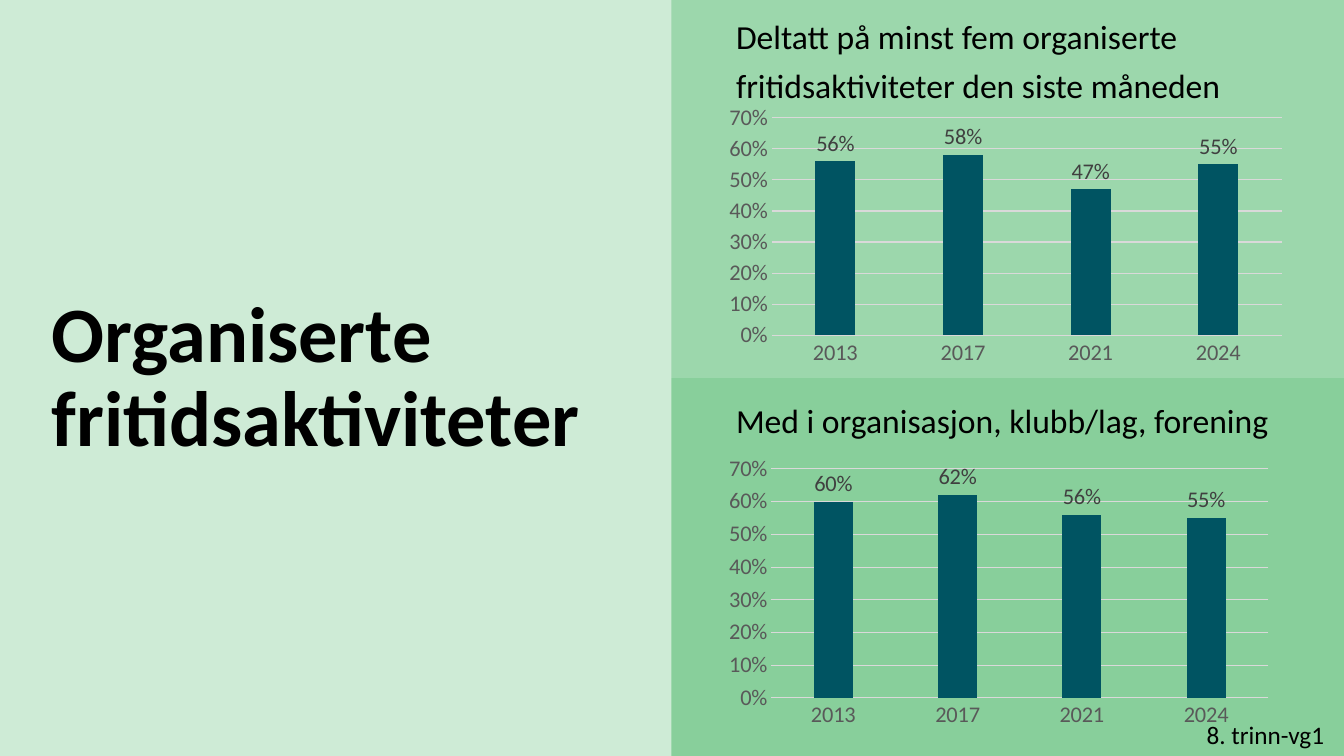
"""Build a slide with two column charts on organised leisure activities."""
from lxml.etree import SubElement
from pptx import Presentation
from pptx.chart.data import CategoryChartData as Data
from pptx.dml.color import RGBColor as RGB
from pptx.enum.chart import XL_CHART_TYPE as Kind, XL_LABEL_POSITION as Spot, XL_TICK_MARK as Tick
from pptx.enum.shapes import MSO_SHAPE as Form
from pptx.enum.text import MSO_ANCHOR as Anchor, MSO_AUTO_SIZE as Fit, PP_ALIGN as Align
from pptx.oxml.ns import qn
from pptx.util import Inches, Pt

FONT, FMT = "Calibri", "###0%"
HEX = {"back": "CEEBD6", "top": "9CD7AC", "low": "6BC483", "text": "000000",
       "bar": "005462", "axis": "595959", "label": "404040", "grid": "D9D9D9"}
YEARS = ["2013", "2017", "2021", "2024"]
TITLE = "Organiserte fritidsaktiviteter"
NOTE = "8. trinn-vg1"
PARTS = [
    {"head": "Deltatt på minst fem organiserte fritidsaktiviteter den siste måneden",
     "vals": [0.56, 0.58, 0.47, 0.55], "fill": "top", "alpha": 100, "slot": 1,
     "box": (7.3, 0, 5.4, 1.12), "plot": (7.12, 0.98, 5.71, 2.71)},
    {"head": "Med i organisasjon, klubb/lag, forening",
     "vals": [0.6, 0.62, 0.56, 0.55], "fill": "low", "alpha": 70, "slot": 3,
     "box": (7.3, 3.76, 5.4, 0.73), "plot": (7.12, 4.46, 5.57, 2.83)},
]


def tint(name):
    return RGB.from_string(HEX[name])


def style(font, size, color, bold=False):
    font.name, font.size, font.bold = FONT, Pt(size), bold
    font.color.rgb = tint(color)


def write(shape, text, box, size=24, bold=False, gap=None, inset=0.0, anchor=Anchor.MIDDLE):
    shape.left, shape.top, shape.width, shape.height = map(Inches, box)
    frame = shape.text_frame
    frame.word_wrap, frame.auto_size = True, Fit.NONE
    frame.vertical_anchor = anchor
    frame.margin_left = frame.margin_right = Inches(inset)
    frame.margin_top = frame.margin_bottom = Inches(inset / 2)
    para = frame.paragraphs[0]
    para.alignment, para.line_spacing = Align.LEFT, gap
    para.space_before = para.space_after = Pt(0)
    run = para.add_run()
    run.text = text
    style(run.font, size, "text", bold)


def panel(slide, row, part):
    half = prs.slide_height // 2
    rect = slide.shapes.add_shape(Form.RECTANGLE, Inches(6.66), row * half, Inches(6.67), half)
    rect.shadow.inherit = False
    rect.fill.solid()
    rect.fill.fore_color.rgb = tint(part["fill"])
    rect.line.fill.background()
    color = rect._element.spPr.find(".//" + qn("a:srgbClr"))
    SubElement(color, qn("a:alpha"), val=str(part["alpha"] * 1000))
    slide.shapes._spTree.insert(2 + row, rect._element)


def plot(slide, part):
    data = Data(number_format=FMT)
    data.categories = YEARS
    data.add_series("Series 1", part["vals"])
    chart = slide.shapes.add_chart(Kind.COLUMN_CLUSTERED, *map(Inches, part["plot"]), data).chart
    chart.has_title = chart.has_legend = False
    style(chart.font, 16, "text")
    years, share = chart.category_axis, chart.value_axis
    for axis in (years, share):
        axis.major_tick_mark = axis.minor_tick_mark = Tick.NONE
        style(axis.tick_labels.font, 16, "axis")
    share.minimum_scale, share.maximum_scale, share.major_unit = 0, 0.7, 0.1
    share.tick_labels.number_format, share.tick_labels.number_format_is_linked = FMT, False
    share.format.line.fill.background()
    for line in (years.format.line, share.major_gridlines.format.line):
        line.color.rgb, line.width = tint("grid"), Pt(0.75)
    bars = chart.plots[0]
    bars.gap_width, bars.overlap, bars.vary_by_categories = 219, -27, False
    fill = bars.series[0].format.fill
    fill.solid()
    fill.fore_color.rgb = tint("bar")
    labels = bars.series[0].data_labels
    labels.show_value, labels.position = True, Spot.OUTSIDE_END
    labels.number_format, labels.number_format_is_linked = FMT, False
    style(labels.font, 16, "label")


prs = Presentation()
prs.slide_width, prs.slide_height = Inches(13.33), Inches(7.5)
slide = prs.slides.add_slide(prs.slide_layouts[4])
slide.background.fill.solid()
slide.background.fill.fore_color.rgb = tint("back")
slots = {hold.placeholder_format.idx: hold for hold in slide.placeholders}
write(slots[0], TITLE, (0.51, 2.34, 5.52, 2.83), size=56, bold=True, gap=Pt(60))
for row, part in enumerate(PARTS):
    panel(slide, row, part)
    write(slots[part["slot"]], part["head"], part["box"], gap=1.2)
    plot(slide, part)
for idx in (2, 4):
    slide.shapes._spTree.remove(slots[idx]._element)
note = slide.shapes.add_textbox(0, 0, 0, 0)
write(note, NOTE, (11.87, 7.09, 1.46, 0.4), size=18, inset=0.1, anchor=Anchor.TOP)
prs.save("out.pptx")
